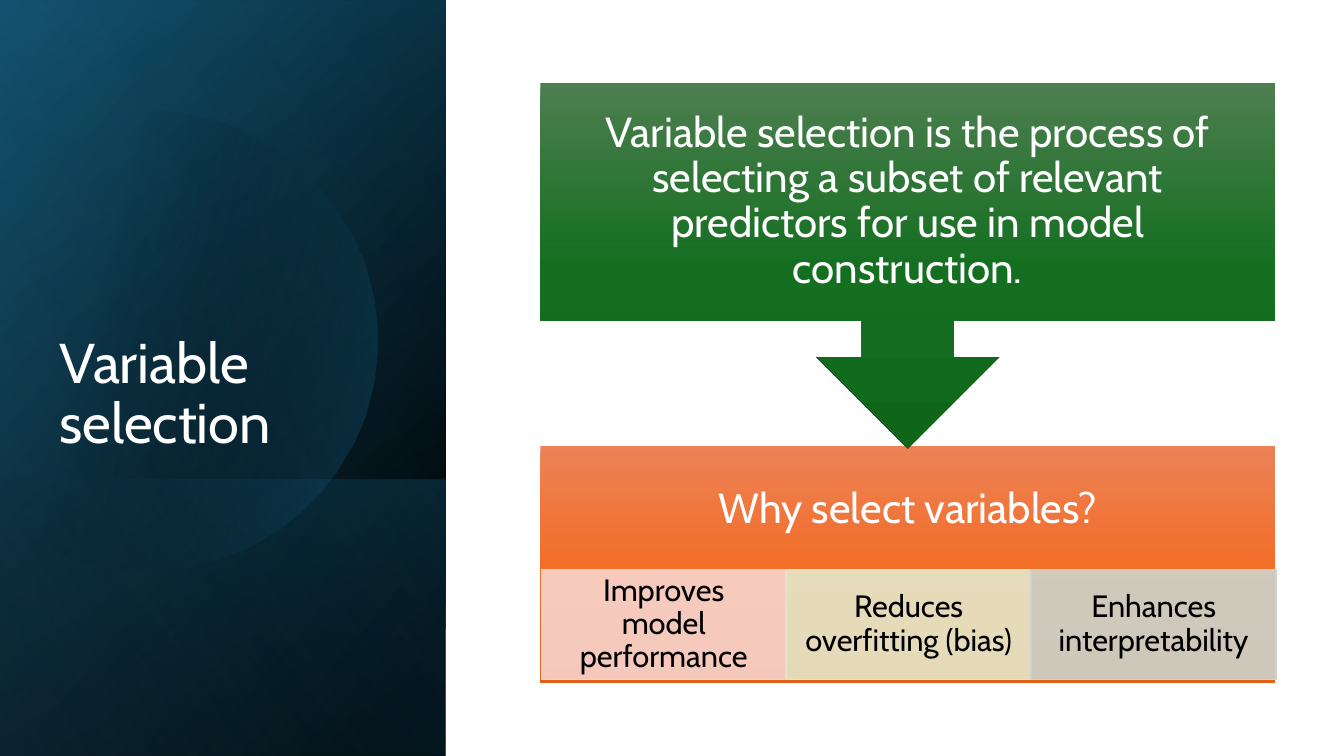
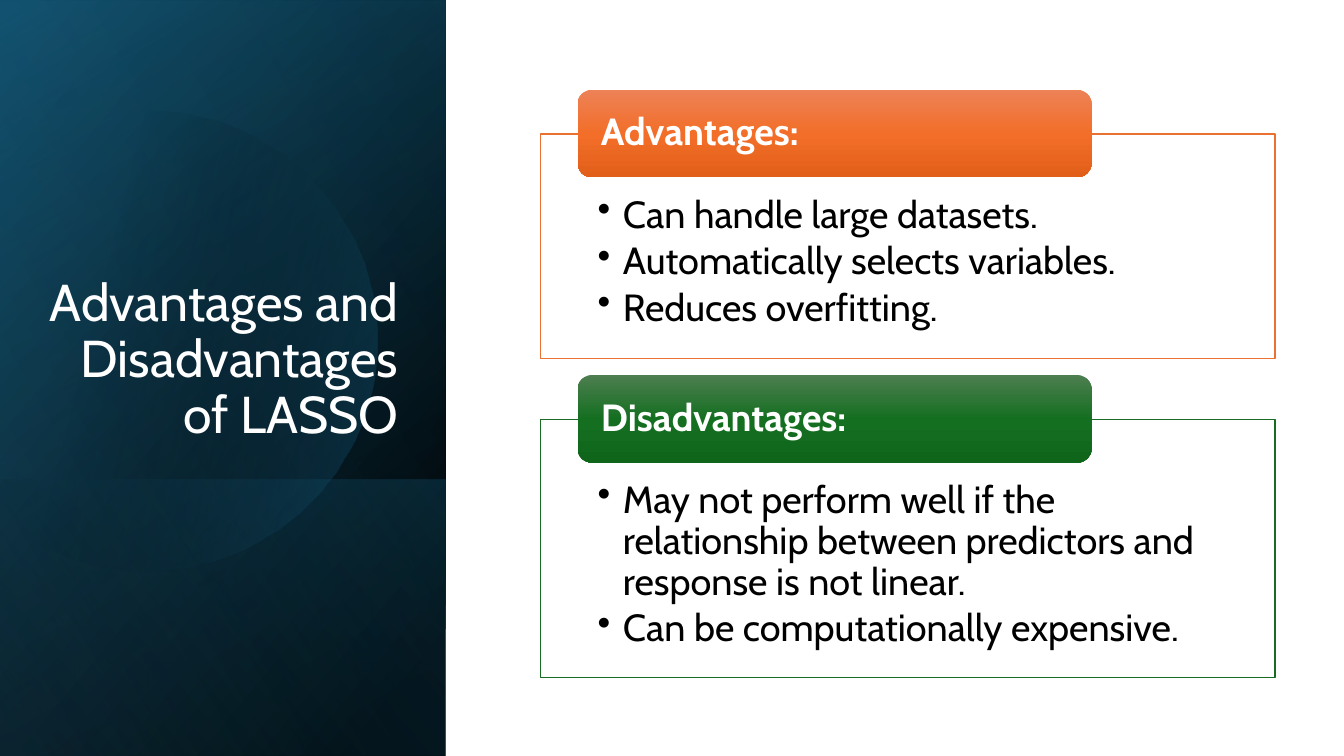
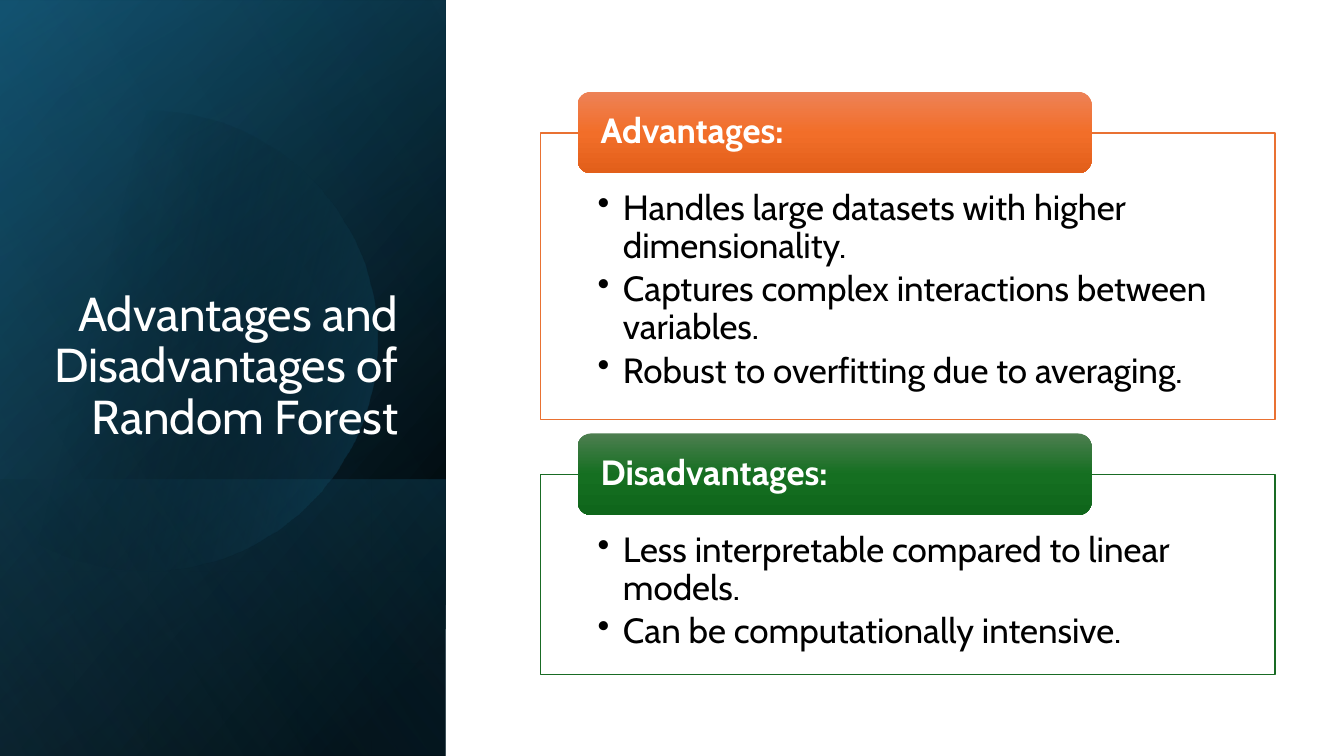
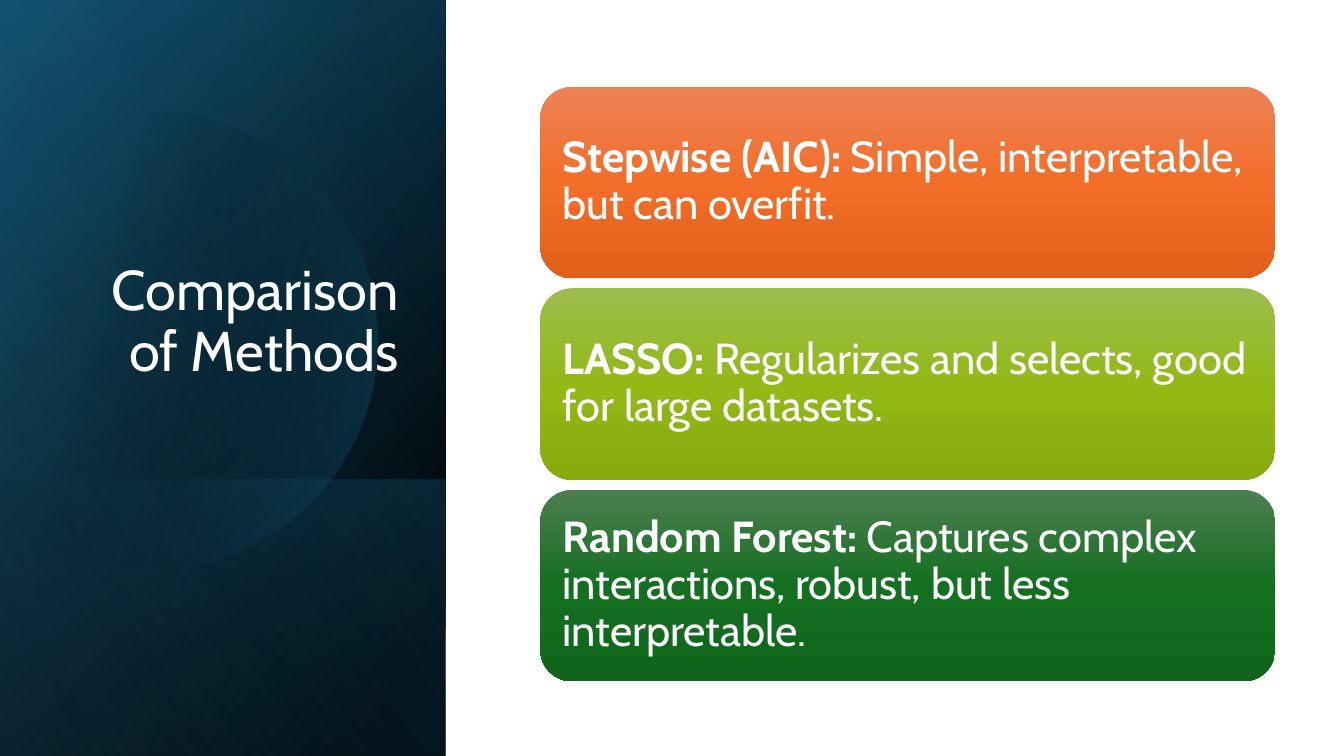
import math

import lxml.etree
import pptx
import pptx.dml.color
import pptx.enum.shapes
import pptx.enum.text
import pptx.oxml.ns
import pptx.util

PX = 9144  # 100 px to the inch
FONT = "Cabin"
COLORS = {
    "black": "000000", "white": "FFFFFF", "navy": "104862", "teal": "156082", "sky": "46B1E1",
    "orange_line": "E97132", "green_line": "196B24",
    "pink": "F7D5CE", "sand": "E5E8CA", "sage": "CCD4CD",
    "orange_top": "ED8257", "orange": "F26E29", "orange_end": "E25F1A",
    "lime_top": "9CBD4E", "lime": "92B916", "lime_end": "85AB0D",
    "green_top": "4D7E50", "green": "156F21", "green_end": "0F661B",
}
# Gradient stops: position, colour, opacity, all in percent
SHADES = {
    name: [(0, name + "_top", 100), (50, name, 100), (100, name + "_end", 100)]
    for name in ("orange", "lime", "green")
}
LAYERS = [
    (-154, 154, 750, 442, [(8, "black", 100), (100, "navy", 100)], 50),
    (-154, 155, 750, 442, [(0, "black", 0), (99, "teal", 46)], 30),
    (84, 392, 274, 442, [(2, "teal", 29), (100, "black", 30)], 130),
    (-154, 154, 750, 442, [(0, "black", 0), (99, "sky", 11)], 120),
]
CIRCLE_X, CIRCLE_Y, RADIUS = 146, 338, 228

qn = pptx.oxml.ns.qn
RGB = pptx.dml.color.RGBColor.from_string
SHAPE = pptx.enum.shapes.MSO_SHAPE
ANCHOR = pptx.enum.text.MSO_ANCHOR
ALIGN = pptx.enum.text.PP_ALIGN


def paint(sp, stops, angle=90):
    """Fill with a linear gradient, clockwise angle in degrees, and no outline."""
    sp.shadow.inherit = False
    sp.line.fill.background()
    sp.fill.gradient()
    grad = sp.element.spPr.find(qn("a:gradFill"))
    grad.find(qn("a:lin")).set("ang", str(angle * 60000))
    stop_list = grad.find(qn("a:gsLst"))
    stop_list.clear()
    for position, color, opacity in stops:
        stop = lxml.etree.SubElement(stop_list, qn("a:gs"), pos=str(position * 1000))
        rgb = lxml.etree.SubElement(stop, qn("a:srgbClr"), val=COLORS[color])
        if opacity < 100:
            lxml.etree.SubElement(rgb, qn("a:alpha"), val=str(opacity * 1000))


def write(sp, paragraphs, size, color="white", align=ALIGN.LEFT, anchor=ANCHOR.MIDDLE,
          insets=(10, 5, 10, 5), bullets=False):
    """Write paragraphs, each a list of (text, bold) runs; insets go left, top, right, bottom."""
    tf = sp.text_frame
    tf.word_wrap = True
    tf.vertical_anchor = anchor
    tf.margin_left, tf.margin_top, tf.margin_right, tf.margin_bottom = [v * PX for v in insets]
    for i, runs in enumerate(paragraphs):
        p = tf.add_paragraph() if i else tf.paragraphs[0]
        p.alignment = align
        p.line_spacing = 0.9
        if bullets:
            p.space_after = pptx.util.Pt(round(size * 0.15))
            pPr = p._p.get_or_add_pPr()
            pPr.set("marL", str(25 * PX))
            pPr.set("indent", str(-25 * PX))
            lxml.etree.SubElement(pPr, qn("a:buChar"), char="•")
        for text, bold in runs:
            r = p.add_run()
            r.text = text
            r.font.name = FONT
            r.font.size = pptx.util.Pt(size)
            r.font.bold = bold
            r.font.color.rgb = RGB(COLORS[color])


prs = pptx.Presentation()
prs.slide_width = pptx.util.Inches(13.333)
prs.slide_height = pptx.util.Inches(7.5)

# Side panel and title of every slide
titles = [
    ("Variable selection", 40, (49, 270, 325, 244), ALIGN.LEFT, ANCHOR.MIDDLE),
    ("Advantages and Disadvantages of LASSO", 37, (29, 184, 376, 262), ALIGN.RIGHT, ANCHOR.BOTTOM),
    ("Advantages and Disadvantages of Random Forest", 34, (40, 184, 365, 262), ALIGN.RIGHT,
     ANCHOR.BOTTOM),
    ("Comparison of Methods", 40, (64, 184, 341, 201), ALIGN.RIGHT, ANCHOR.BOTTOM),
]
for title, size, place, align, anchor in titles:
    s = prs.slides.add_slide(prs.slide_layouts[6])
    for i, (x, y, w, h, stops, angle) in enumerate(LAYERS):
        if i == 3:
            arc = [
                (CIRCLE_X + RADIUS * math.cos(math.radians(a)),
                 CIRCLE_Y + RADIUS * math.sin(math.radians(a)))
                for a in range(-129, 130, 2)
            ]
            builder = s.shapes.build_freeform(*arc[0], scale=PX)
            builder.add_line_segments(arc[1:], close=True)
            paint(builder.convert_to_shape(), [(29, "black", 0), (100, "teal", 43)], 14)
        sp = s.shapes.add_shape(SHAPE.RECTANGLE, x * PX, y * PX, w * PX, h * PX)
        sp.rotation = 90
        sp.element.spPr.find(qn("a:xfrm")).set("flipH", "1")
        paint(sp, stops, angle)
    sp = s.shapes.add_textbox(*[v * PX for v in place])
    write(sp, [[(title, False)]], size, align=align, anchor=anchor)

# Slide 1: definition and reasons
s = prs.slides[0]
sp = s.shapes.add_shape(SHAPE.RECTANGLE, 536 * PX, 442 * PX, 729 * PX, 236 * PX)
paint(sp, SHADES["orange"])
write(sp, [[("Why select variables?", False)]], 30, align=ALIGN.CENTER, insets=(23, 23, 23, 131))
reasons = [
    ("Improves model performance", "pink"),
    ("Reduces overfitting (bias)", "sand"),
    ("Enhances interpretability", "sage"),
]
for i, (reason, color) in enumerate(reasons):
    sp = s.shapes.add_shape(SHAPE.RECTANGLE, (537 + 243 * i) * PX, 565 * PX, 243 * PX, 109 * PX)
    sp.shadow.inherit = False
    sp.fill.solid()
    sp.fill.fore_color.rgb = RGB(COLORS[color])
    rgb = sp.element.spPr.find(qn("a:solidFill")).find(qn("a:srgbClr"))
    lxml.etree.SubElement(rgb, qn("a:alpha"), val="90000")
    sp.line.color.rgb = RGB(COLORS[color])
    sp.line.width = pptx.util.Pt(1)
    write(sp, [[(reason, False)]], 22, "black", ALIGN.CENTER, insets=(17, 3, 17, 3))
sp = s.shapes.add_shape(SHAPE.DOWN_ARROW_CALLOUT, 536 * PX, 82 * PX, 729 * PX, 363 * PX)
paint(sp, SHADES["green"])
definition = ("Variable selection is the process of selecting a subset of relevant predictors "
              "for use in model construction.")
write(sp, [[(definition, False)]], 30, align=ALIGN.CENTER, insets=(23, 23, 23, 23))

# Slides 2 and 3: text size, tab height, insets, then frames as top, height and points
pros_and_cons = [
    (27, 87, (57, 61, 57, 21), [
        (133, 223, ["Can handle large datasets.", "Automatically selects variables.",
                    "Reduces overfitting."]),
        (416, 256, ["May not perform well if the relationship between predictors and response "
                    "is not linear.", "Can be computationally expensive."]),
    ]),
    (25, 81, (57, 57, 57, 19), [
        (132, 284, ["Handles large datasets with higher dimensionality.",
                    "Captures complex interactions between variables.",
                    "Robust to overfitting due to averaging."]),
        (471, 198, ["Less interpretable compared to linear models.",
                    "Can be computationally intensive."]),
    ]),
]
for slide_index, (size, tab_height, insets, frames) in enumerate(pros_and_cons, 1):
    s = prs.slides[slide_index]
    headings = [("Advantages:", "orange"), ("Disadvantages:", "green")]
    for (heading, shade), (top, height, points) in zip(headings, frames):
        sp = s.shapes.add_shape(SHAPE.RECTANGLE, 536 * PX, top * PX, 729 * PX, height * PX)
        sp.shadow.inherit = False
        sp.fill.solid()
        sp.fill.fore_color.rgb = RGB(COLORS["white"])
        sp.line.color.rgb = RGB(COLORS[shade + "_line"])
        sp.line.width = pptx.util.Pt(1)
        write(sp, [[(point, False)] for point in points], size, "black", anchor=ANCHOR.TOP,
              insets=insets, bullets=True)
        tab_top = top - (tab_height + 1) // 2
        sp = s.shapes.add_shape(SHAPE.ROUNDED_RECTANGLE, 573 * PX, tab_top * PX,
                                510 * PX, tab_height * PX)
        paint(sp, SHADES[shade])
        write(sp, [[(heading, True)]], size, insets=(19, 0, 19, 0))

# Slide 4: one card per method
s = prs.slides[3]
methods = [
    ("Stepwise (AIC):", " Simple, interpretable, but can overfit.", "orange"),
    ("LASSO:", " Regularizes and selects, good for large datasets.", "lime"),
    ("Random Forest:", " Captures complex interactions, robust, but less interpretable.", "green"),
]
for i, (method, verdict, shade) in enumerate(methods):
    sp = s.shapes.add_shape(SHAPE.ROUNDED_RECTANGLE, 536 * PX, (86 + 200 * i) * PX,
                            729 * PX, 190 * PX)
    paint(sp, SHADES[shade])
    write(sp, [[(method, True), (verdict, False)]], 31, insets=(13, 13, 13, 13))

prs.save("out.pptx")
